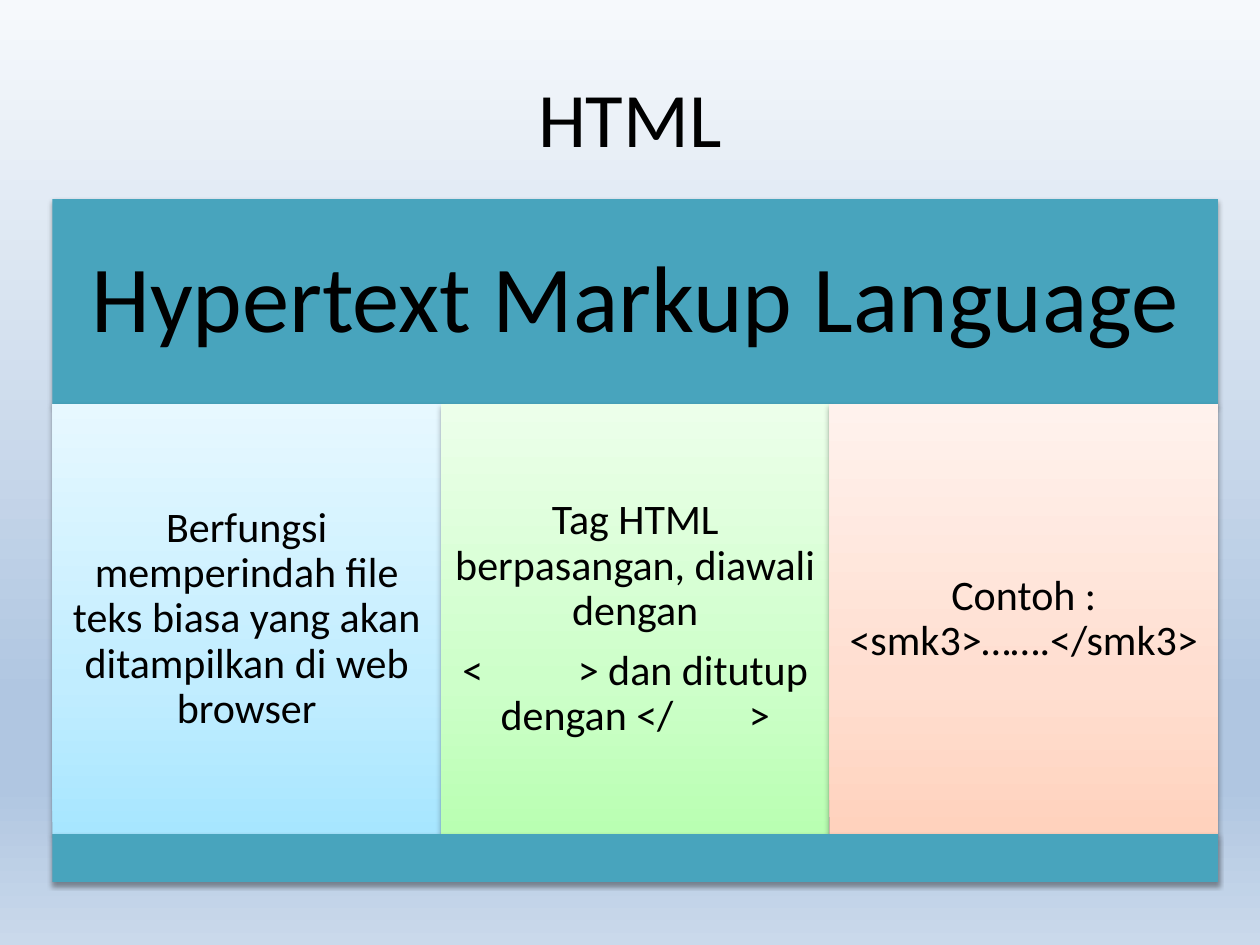
from lxml import etree
from pptx import Presentation
from pptx import util as u
from pptx.dml.color import RGBColor
from pptx.enum import shapes, text
from pptx.oxml import parse_xml
from pptx.oxml.ns import nsdecls, qn

# Content: a number inside a paragraph is a blank left open, in points
TITLE = "HTML"
HEADER = "Hypertext Markup Language"
COLUMNS = [
    ("blue", [["Berfungsi memperindah file teks biasa yang akan ditampilkan di web browser"]]),
    ("green", [["Tag HTML berpasangan, diawali dengan"],
               ["<", 54, "> dan ditutup dengan </", 43, ">"]]),
    ("peach", [["Contoh : <smk3>…….</smk3>"]]),
]

COLORS = {"text": "000000", "teal": "48A4BD"}
GRADIENTS = {
    "sky": [(0, "F6F9FC"), (74, "B0C6E1"), (83, "B0C6E1"), (100, "CAD9EB")],
    "blue": [(0, "A7E6FF"), (35, "C1EDFF"), (100, "E7F8FF")],
    "green": [(0, "B9FFB2"), (35, "CDFFC9"), (100, "ECFFEA")],
    "peach": [(0, "FFD2BD"), (35, "FFDED0"), (100, "FFF2ED")],
}

# Layout in points
LEFT, WIDTH = 30, 666
HEADER_TOP, COLUMN_TOP, FOOTER_TOP, BOTTOM = 113.8, 231, 476.6, 504
COLUMN_WIDTH = WIDTH / len(COLUMNS)

SHADOW = (
    f'<a:outerShdw {nsdecls("a")} blurRad="40000" dist="20000" dir="5400000" '
    'rotWithShape="0"><a:srgbClr val="000000"><a:alpha val="38000"/>'
    '</a:srgbClr></a:outerShdw>'
)


def paint_gradient(fill, owner, name, angle):
    fill.gradient()
    fill.gradient_angle = angle
    stops = owner.xpath(".//a:gsLst")[0]
    for stop in list(stops):
        stops.remove(stop)
    for position, color in GRADIENTS[name]:
        stop = etree.SubElement(stops, qn("a:gs"), pos=str(position * 1000))
        etree.SubElement(stop, qn("a:srgbClr"), val=color)


def write(shape, paragraphs, size, margin, spacing=0.9):
    frame = shape.text_frame
    frame_format = {"word_wrap": True, "vertical_anchor": text.MSO_ANCHOR.MIDDLE}
    for side in ("left", "right", "top", "bottom"):
        frame_format[f"margin_{side}"] = u.Pt(margin)
    for key, value in frame_format.items():
        setattr(frame, key, value)
    for index, pieces in enumerate(paragraphs):
        paragraph = frame.add_paragraph() if index else frame.paragraphs[0]
        paragraph_format = {"alignment": text.PP_ALIGN.CENTER, "line_spacing": spacing,
                            "space_after": u.Pt(size * 0.35)}
        for key, value in paragraph_format.items():
            setattr(paragraph, key, value)
        for piece in pieces:
            run = paragraph.add_run()
            is_blank = not isinstance(piece, str)
            run.text = " " if is_blank else piece
            for key, value in {"name": "Calibri", "size": u.Pt(size)}.items():
                setattr(run.font, key, value)
            run.font.color.rgb = RGBColor.from_string(COLORS["text"])
            if is_blank:  # one space, widened by character spacing
                space_width = size * 0.226
                run.font._element.set("spc", str(round((piece - space_width) * 100)))


def add_panel(slide, left, top, width, height, color):
    panel = slide.shapes.add_shape(shapes.MSO_SHAPE.RECTANGLE,
                                   *map(u.Pt, (left, top, width, height)))
    if color in GRADIENTS:
        paint_gradient(panel.fill, panel._element, color, 90)
    else:
        panel.fill.solid()
        panel.fill.fore_color.rgb = RGBColor.from_string(COLORS[color])
    panel.line.fill.background()
    panel.shadow.inherit = False
    panel._element.spPr.find(qn("a:effectLst")).append(parse_xml(SHADOW))
    return panel


def main():
    deck = Presentation()
    deck.slide_width, deck.slide_height = u.Pt(720), u.Pt(540)
    slide = deck.slides.add_slide(deck.slide_layouts[6])
    paint_gradient(slide.background.fill, slide._element, "sky", 270)

    # Title
    title = slide.shapes.add_textbox(*map(u.Pt, (36, 21.6, 648, 90)))
    write(title, [[TITLE]], 44, 3.6, spacing=1.0)

    # Header band
    header = add_panel(slide, LEFT, HEADER_TOP, WIDTH, COLUMN_TOP - HEADER_TOP, "teal")
    write(header, [[HEADER]], 54, 16.4)

    # Three columns
    for index, (color, paragraphs) in enumerate(COLUMNS):
        column = add_panel(slide, LEFT + index * COLUMN_WIDTH, COLUMN_TOP,
                           COLUMN_WIDTH, FOOTER_TOP - COLUMN_TOP, color)
        write(column, paragraphs, 24, 7.2)

    # Footer band
    add_panel(slide, LEFT, FOOTER_TOP, WIDTH, BOTTOM - FOOTER_TOP, "teal")

    deck.save("out.pptx")


if __name__ == "__main__":
    main()
